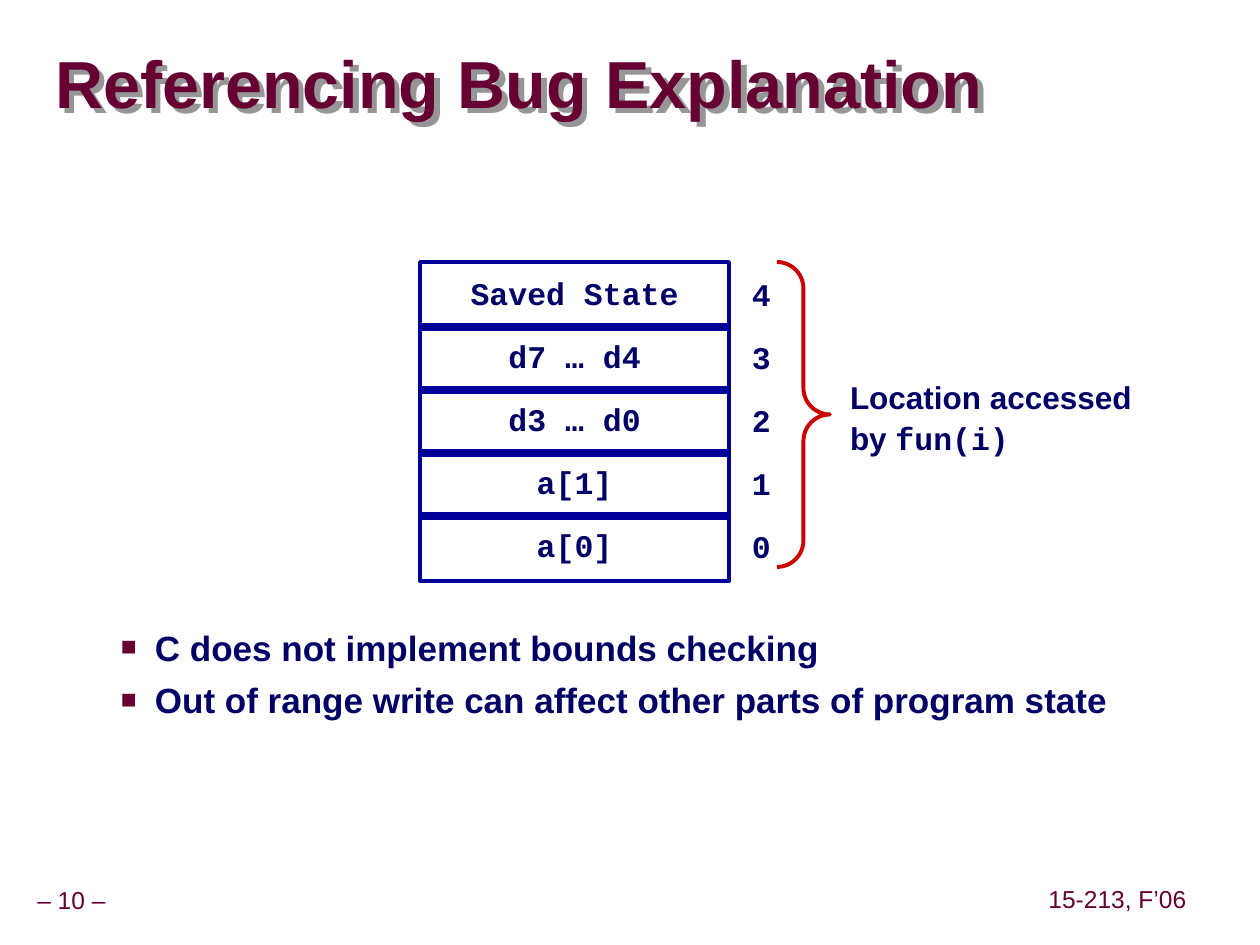
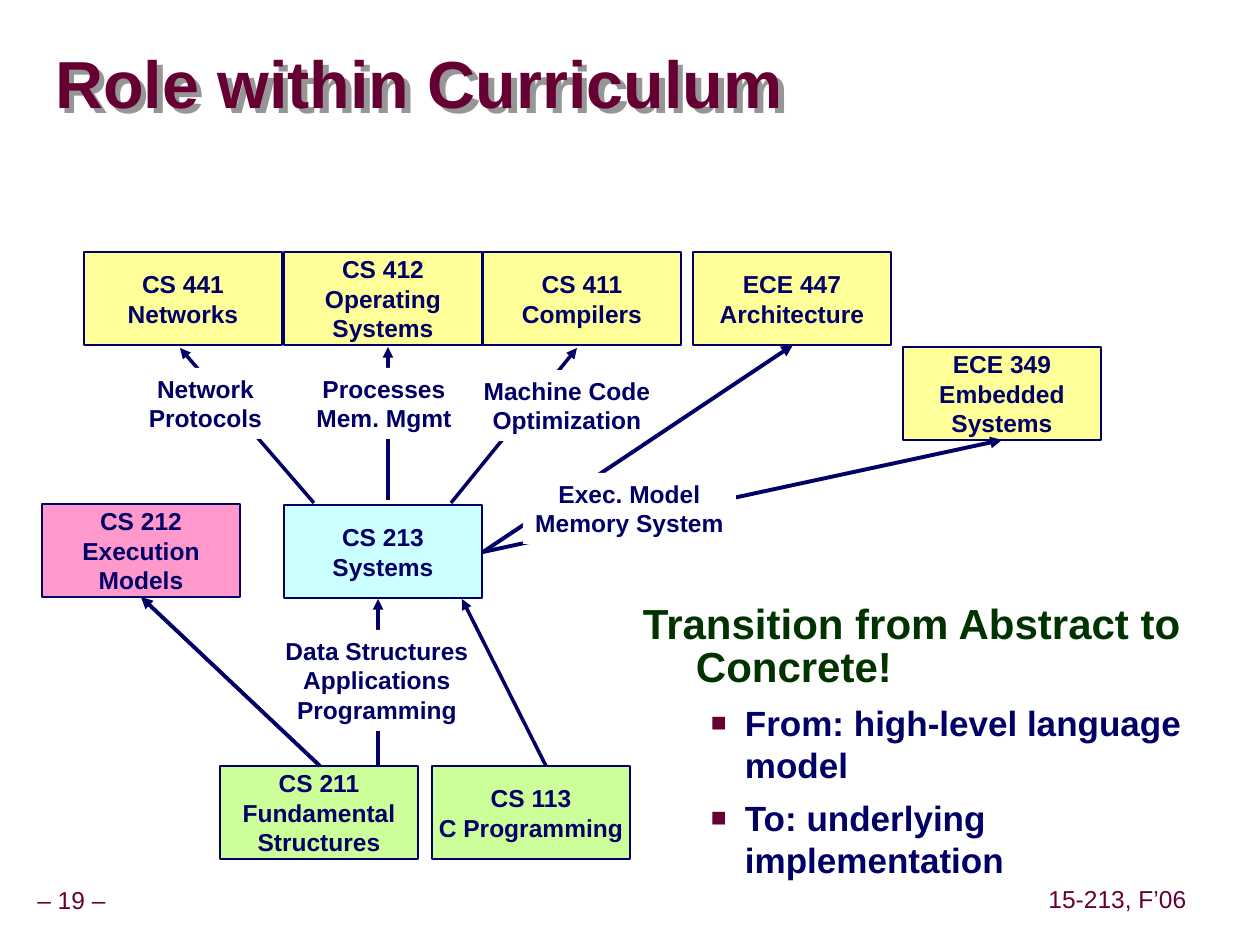
from lxml.etree import SubElement
from pptx import Presentation
from pptx.dml.color import RGBColor
from pptx.enum.shapes import MSO_CONNECTOR, MSO_SHAPE
from pptx.enum.text import MSO_ANCHOR, PP_ALIGN
from pptx.oxml.ns import qn
from pptx.util import Emu, Pt

EMU_PER_PX = 914400 / 126
SANS, MONO = "Arial", "Courier New"
COLORS = {
    "maroon": "660033", "navy": "000066", "blue": "000099", "red": "CC0000",
    "dark_green": "003300", "shadow": "969696", "white": "FFFFFF",
    "yellow": "FFFF99", "cyan": "CCFFFF", "pink": "FF99CC", "green": "CCFF99",
}
COURSE_W, COURSE_H = 198, 93
SLOT_H, SLOT_STEP = 67, 63


def px(n):
    return Emu(round(n * EMU_PER_PX))


def rgb(name):
    return RGBColor.from_string(COLORS[name])


# Text
def setup_frame(sp, inset=(6, 6), anchor=MSO_ANCHOR.TOP, wrap=False):
    tf = sp.text_frame
    tf.word_wrap = wrap
    tf.vertical_anchor = anchor
    tf.margin_left = tf.margin_right = px(inset[0])
    tf.margin_top = tf.margin_bottom = px(inset[1])
    return tf


def add_textbox(s, box, **frame):
    sp = s.shapes.add_textbox(*map(px, box))
    return sp, setup_frame(sp, **frame)


def add_run(p, text, size, color="navy", font=SANS, bold=True):
    r = p.add_run()
    r.text = text
    r.font.size = Pt(size)
    r.font.name = font
    r.font.bold = bold
    r.font.color.rgb = rgb(color)


def next_paragraph(tf, align=PP_ALIGN.LEFT, spacing=1.0, before=0):
    first = tf.paragraphs[0]
    p = tf.add_paragraph() if first.runs else first
    p.alignment = align
    p.line_spacing = spacing
    p.space_before = Pt(before if p is not first and len(tf.paragraphs) > 1 else 0)
    return p


def indent(p, left, hanging):
    pPr = p._p.get_or_add_pPr()
    pPr.set("marL", str(px(left)))
    pPr.set("indent", str(-px(hanging)))
    return pPr


def add_bullet(tf, text):
    p = next_paragraph(tf, before=6.2)
    pPr = indent(p, 102, 34)
    color = SubElement(pPr, qn("a:buClr"))
    SubElement(color, qn("a:srgbClr"), val=COLORS["maroon"])
    SubElement(pPr, qn("a:buSzPct"), val="75000")
    SubElement(pPr, qn("a:buFont"), typeface=SANS)
    SubElement(pPr, qn("a:buChar"), char="■")
    add_run(p, text, 20)


def add_lines(tf, lines, size=14, font=SANS, spacing=1.0):
    for line in lines:
        add_run(next_paragraph(tf, PP_ALIGN.CENTER, spacing), line, size, font=font)


# Shapes
def add_rect(s, box, fill=None, line=None, width=1):
    sp = s.shapes.add_shape(MSO_SHAPE.RECTANGLE, *map(px, box))
    sp.shadow.inherit = False
    if fill:
        sp.fill.solid()
        sp.fill.fore_color.rgb = rgb(fill)
    else:
        sp.fill.background()
    if line:
        sp.line.color.rgb = rgb(line)
        sp.line.width = Pt(width)
    else:
        sp.line.fill.background()
    return sp


def add_course(s, x, y, fill, lines):
    sp = add_rect(s, (x, y, COURSE_W, COURSE_H), fill, "navy")
    add_lines(setup_frame(sp, (13, 6), MSO_ANCHOR.MIDDLE), lines)


def add_label(s, box, lines):
    add_lines(setup_frame(add_rect(s, box, "white"), (13, 6)), lines)


def add_arrow(s, x1, y1, x2, y2, width=2):
    cn = s.shapes.add_connector(MSO_CONNECTOR.STRAIGHT, *map(px, (x1, y1, x2, y2)))
    cn.line.color.rgb = rgb("navy")
    cn.line.width = Pt(width)
    SubElement(cn.line._get_or_add_ln(), qn("a:tailEnd"), type="triangle")
    SubElement(cn._element.spPr, qn("a:effectLst"))


# Title and footers shared by the slides
def add_title(s, text):
    sp, tf = add_textbox(s, (55, 34, 1201, 107), inset=(0, 0),
                         anchor=MSO_ANCHOR.MIDDLE, wrap=True)
    add_run(next_paragraph(tf, spacing=0.87), text, 38, "maroon")
    effects = SubElement(sp._element.spPr, qn("a:effectLst"))
    shadow = SubElement(effects, qn("a:outerShdw"), dist=str(px(8)), dir="2700000",
                        algn="ctr", rotWithShape="0")
    SubElement(shadow, qn("a:srgbClr"), val=COLORS["shadow"])


def add_slide(prs, title, number):
    s = prs.slides.add_slide(prs.slide_layouts[6])
    for text, box in ((f"– {number} –", (-11, 882, 165, 39)),
                      ("15-213, F’06", (1042, 881, 151, 39))):
        _, tf = add_textbox(s, box, anchor=MSO_ANCHOR.MIDDLE)
        p = next_paragraph(tf, PP_ALIGN.CENTER, 0.9)
        add_run(p, text, 14, "maroon", bold=False)
    add_title(s, title)
    return s


# Slide: stack layout and the bug
def build_bug_slide(prs):
    s = add_slide(prs, "Referencing Bug Explanation", 10)

    _, tf = add_textbox(s, (40, 620, 1145, 268), inset=(13, 6), wrap=True)
    add_bullet(tf, "C does not implement bounds checking")
    add_bullet(tf, "Out of range write can affect other parts of program state")

    # Stack slots, numbered downwards to 0
    slots = ["Saved State", "d7 … d4", "d3 … d0", "a[1]", "a[0]"]
    for i, slot in enumerate(slots):
        y = 262 + i * SLOT_STEP
        sp = add_rect(s, (420, y, 309, SLOT_H), line="blue", width=2.25)
        tf = setup_frame(sp, anchor=MSO_ANCHOR.MIDDLE)
        add_lines(tf, [slot], 18, MONO, 0.9)
        _, tf = add_textbox(s, (746, y + 11, 32, 47))
        add_run(next_paragraph(tf, spacing=0.9), str(len(slots) - 1 - i), 18, font=MONO)

    # Brace and its caption
    brace = s.shapes.add_shape(MSO_SHAPE.RIGHT_BRACE, *map(px, (777, 262, 53, 305)))
    brace.shadow.inherit = False
    brace.adjustments[0] = 0.5
    brace.fill.background()
    brace.line.color.rgb = rgb("red")
    brace.line.width = Pt(2.25)
    _, tf = add_textbox(s, (844, 368, 295, 96))
    add_run(next_paragraph(tf, spacing=1.1), "Location accessed", 18)
    p = next_paragraph(tf, spacing=1.1)
    add_run(p, "by ", 18)
    add_run(p, "fun(i)", 18, font=MONO)


# Slide: course map
def build_curriculum_slide(prs):
    s = add_slide(prs, "Role within Curriculum", 19)

    _, tf = add_textbox(s, (630, 599, 617, 290), inset=(13, 6), wrap=True)
    p = next_paragraph(tf, spacing=0.85)
    indent(p, 53, 53)
    add_run(p, "Transition from Abstract to Concrete!", 24, "dark_green")
    add_bullet(tf, "From: high-level language model")
    add_bullet(tf, "To: underlying implementation")

    courses = [
        (84, 252, "yellow", ["CS 441", "Networks"]),
        (284, 252, "yellow", ["CS 412", "Operating", "Systems"]),
        (483, 252, "yellow", ["CS 411", "Compilers"]),
        (693, 252, "yellow", ["ECE 447", "Architecture"]),
        (903, 347, "yellow", ["ECE 349", "Embedded", "Systems"]),
        (42, 504, "pink", ["CS 212", "Execution", "Models"]),
        (284, 505, "cyan", ["CS 213", "Systems"]),
        (220, 766, "green", ["CS 211", "Fundamental", "Structures"]),
        (432, 766, "green", ["CS 113", "C Programming"]),
    ]
    for course in courses:
        add_course(s, *course)

    # Each label covers the middle of its arrows
    links = [
        ([(314, 503, 180, 348)], (136, 368, 139, 71), ["Network", "Protocols"]),
        ([(388, 500, 388, 347)], (304, 368, 160, 71), ["Processes", "Mem. Mgmt"]),
        ([(451, 503, 577, 348)], (471, 370, 192, 71), ["Machine Code", "Optimization"]),
        ([(378, 766, 378, 599)], (273, 630, 208, 101),
         ["Data Structures", "Applications", "Programming"]),
        ([(483, 552, 793, 345, 2.25), (483, 552, 1002, 440, 2.25)],
         (523, 473, 213, 71), ["Exec. Model", "Memory System"]),
    ]
    for arrows, box, lines in links:
        for arrow in arrows:
            add_arrow(s, *arrow)
        add_label(s, box, lines)
    add_arrow(s, 320, 766, 141, 597, 2.25)
    add_arrow(s, 546, 766, 462, 599)


def main():
    prs = Presentation()
    prs.slide_width, prs.slide_height = px(1260), px(945)
    build_bug_slide(prs)
    build_curriculum_slide(prs)
    prs.save("out.pptx")


if __name__ == "__main__":
    main()
